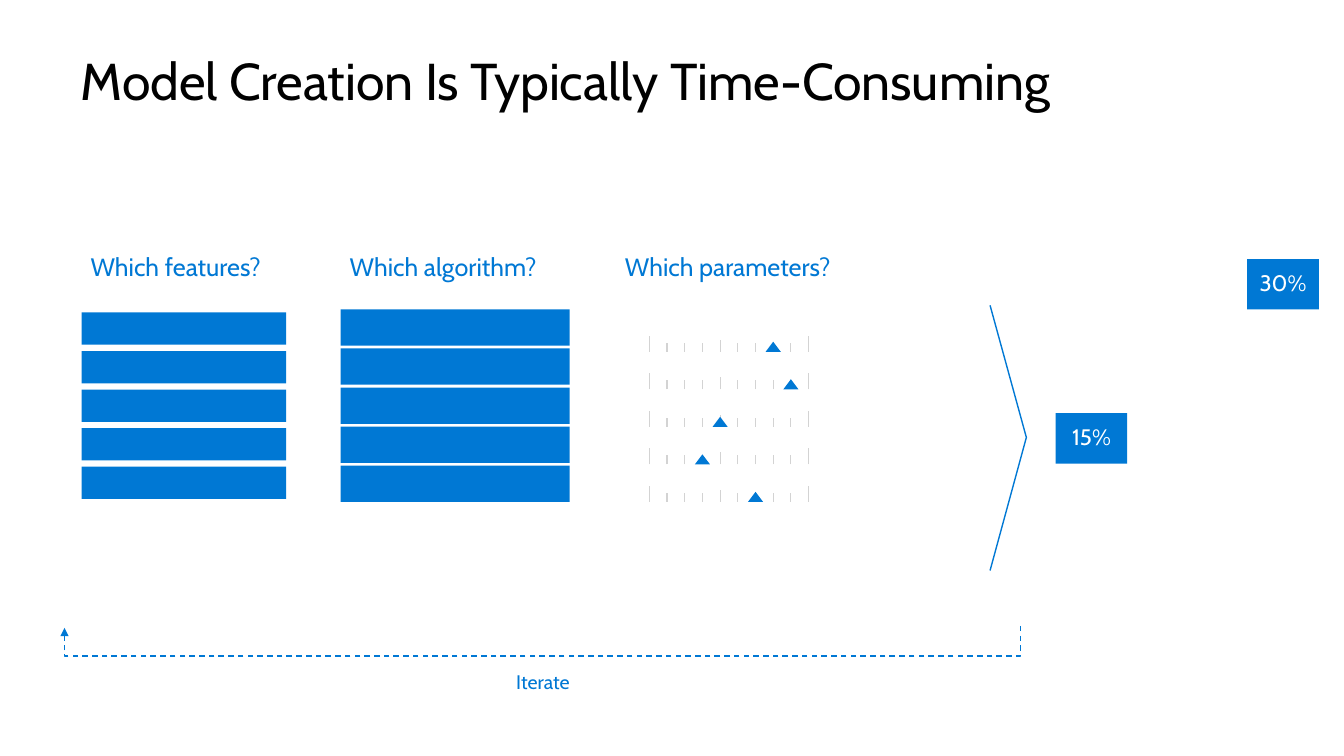
from lxml import etree
from pptx import Presentation
from pptx.dml.color import RGBColor
from pptx.enum.dml import MSO_LINE
from pptx.enum.shapes import MSO_CONNECTOR, MSO_SHAPE
from pptx.enum.text import MSO_ANCHOR, PP_ALIGN
from pptx.oxml.ns import qn
from pptx.util import Inches, Pt

BLUE = RGBColor(0x00, 0x78, 0xD4)
GREY = RGBColor(0xD3, 0xD3, 0xD3)
BLACK = RGBColor(0x00, 0x00, 0x00)
WHITE = RGBColor(0xFF, 0xFF, 0xFF)
RECTANGLE = MSO_SHAPE.RECTANGLE
TRIANGLE = MSO_SHAPE.ISOSCELES_TRIANGLE
STRAIGHT = MSO_CONNECTOR.STRAIGHT
DASH = MSO_LINE.DASH
LEFT, CENTER = PP_ALIGN.LEFT, PP_ALIGN.CENTER
MIDDLE = MSO_ANCHOR.MIDDLE
FONT = "Cabin"

# Content: lengths in inches
TITLE = "Model Creation Is Typically Time-Consuming"
HEADINGS = [  # text, left, width
    ("Which features?", 0.8, 2.26),
    ("Which algorithm?", 3.37, 2.42),
    ("Which parameters?", 6.1, 2.64),
]
BAR_COUNT = 5
BAR_STACKS = [  # left, top, width, height, pitch
    (0.81, 3.1, 2.03, 0.32, 0.3825),
    (3.38, 3.07, 2.27, 0.36, 0.3875),
]
SLIDER_TICKS = [7, 8, 4, 3, 6]  # tick that each marker points at
TICK_HEIGHTS = [0.16, 0.09, 0.09, 0.09, 0.12, 0.09, 0.09, 0.09, 0.09, 0.16]
SLIDER_LEFT, SLIDER_WIDTH = 6.44, 1.58
SLIDER_BASE, SLIDER_PITCH = 3.49, 0.3725
MARKER_WIDTH, MARKER_HEIGHT = 0.15, 0.1
PERCENTAGES = [("30%", 12.37, 2.57), ("15%", 10.47, 4.1)]
CHEVRON = [(9.82, 3.03), (10.18, 4.34), (9.82, 5.66)]
ITERATE_PATH = [(10.12, 6.21), (10.12, 6.51), (0.64, 6.51), (0.64, 6.23)]

presentation = Presentation()
presentation.slide_width = Inches(13.33)
presentation.slide_height = Inches(7.5)
slide = presentation.slides.add_slide(presentation.slide_layouts[6])
shapes = slide.shapes


def write(shape, text, size, color, align):
    paragraph = shape.text_frame.paragraphs[0]
    paragraph.text = text
    paragraph.alignment = align
    paragraph.line_spacing = 0.9
    paragraph.font.name = FONT
    paragraph.font.size = Pt(size)
    paragraph.font.color.rgb = color


def add_text(text, left, top, width, height, size, color, align=LEFT):
    box = shapes.add_textbox(Inches(left), Inches(top), Inches(width), Inches(height))
    box.text_frame.word_wrap = True
    write(box, text, size, color, align)
    return box


def add_solid(kind, left, top, width, height):
    shape = shapes.add_shape(kind, Inches(left), Inches(top), Inches(width), Inches(height))
    shape.shadow.inherit = False
    shape.fill.solid()
    shape.fill.fore_color.rgb = BLUE
    shape.line.fill.background()
    return shape


def add_tick(x, base, height):
    tick = shapes.add_connector(
        STRAIGHT, Inches(x), Inches(base), Inches(x), Inches(base - height))
    tick.line.color.rgb = GREY
    tick.line.width = Pt(0.75)
    etree.SubElement(tick._element.spPr, qn("a:effectLst"))


def add_outline(points):
    (x, y), *rest = [(Inches(x), Inches(y)) for x, y in points]
    builder = shapes.build_freeform(x, y)
    builder.add_line_segments(rest, close=False)
    outline = builder.convert_to_shape()
    outline.shadow.inherit = False
    outline.fill.background()
    outline.line.color.rgb = BLUE
    outline.line.width = Pt(1)
    return outline


# Title and column headings
title = add_text(TITLE, 0.8, 0.37, 12.17, 1.21, 37, BLACK)
title.text_frame.margin_left = title.text_frame.margin_right = 0
title.text_frame.margin_top = Inches(0.18)
title.text_frame.margin_bottom = 0
for text, left, width in HEADINGS:
    add_text(text, left, 2.48, width, 0.37, 18, BLUE)

# Feature and algorithm bars
for left, top, width, height, pitch in BAR_STACKS:
    for row in range(BAR_COUNT):
        add_solid(RECTANGLE, left, top + row * pitch, width, height)

# Parameter sliders
tick_gap = SLIDER_WIDTH / (len(TICK_HEIGHTS) - 1)
for row, marked_tick in enumerate(SLIDER_TICKS):
    base = SLIDER_BASE + row * SLIDER_PITCH
    for index, height in enumerate(TICK_HEIGHTS):
        add_tick(SLIDER_LEFT + index * tick_gap, base, height)
    marker_left = SLIDER_LEFT + marked_tick * tick_gap - MARKER_WIDTH / 2
    add_solid(TRIANGLE, marker_left, base - MARKER_HEIGHT, MARKER_WIDTH, MARKER_HEIGHT)

# Chevron and percentages
add_outline(CHEVRON)
for text, left, top in PERCENTAGES:
    badge = add_solid(RECTANGLE, left, top, 0.71, 0.5)
    badge.text_frame.vertical_anchor = MIDDLE
    write(badge, text, 16, WHITE, CENTER)

# Iterate loop
loop = add_outline(ITERATE_PATH)
loop.line.dash_style = DASH
etree.SubElement(loop.line._get_or_add_ln(), qn("a:tailEnd"), type="triangle")
add_text("Iterate", 4.83, 6.62, 1.11, 0.31, 14, BLUE, CENTER)

presentation.save("out.pptx")
